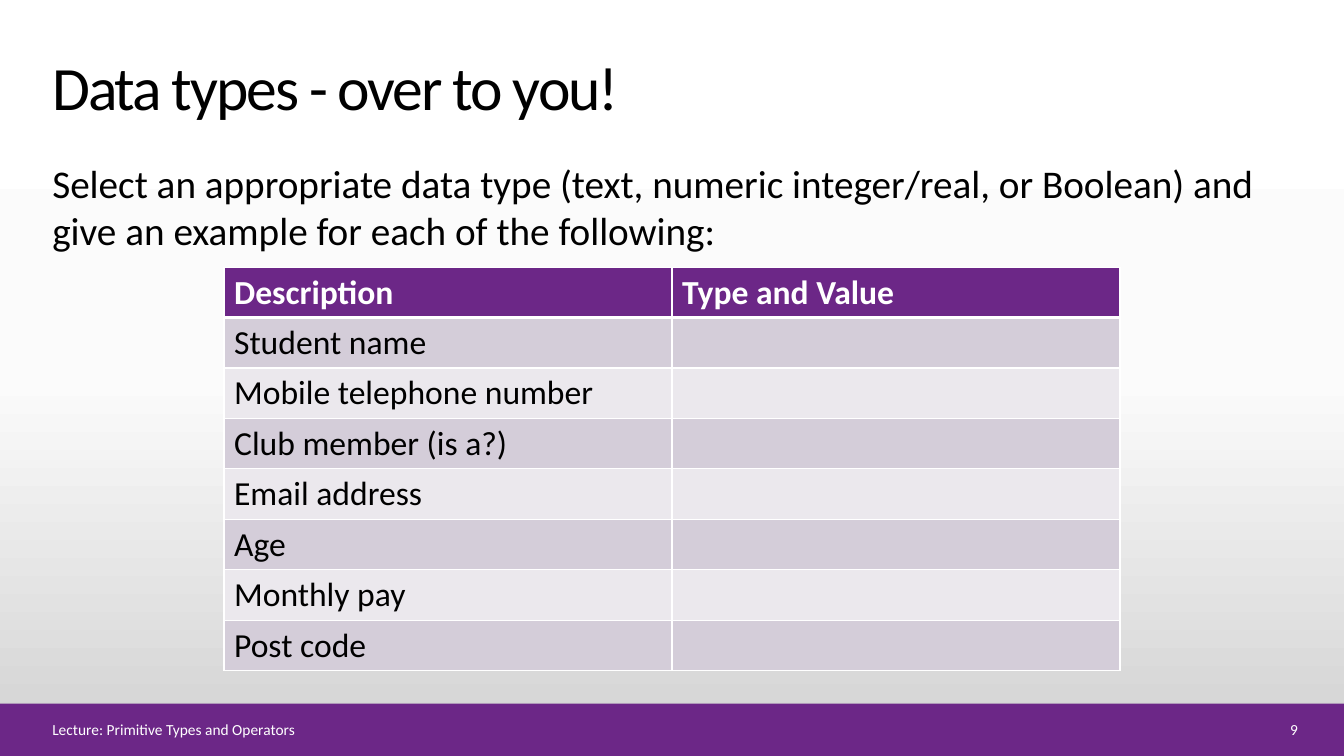
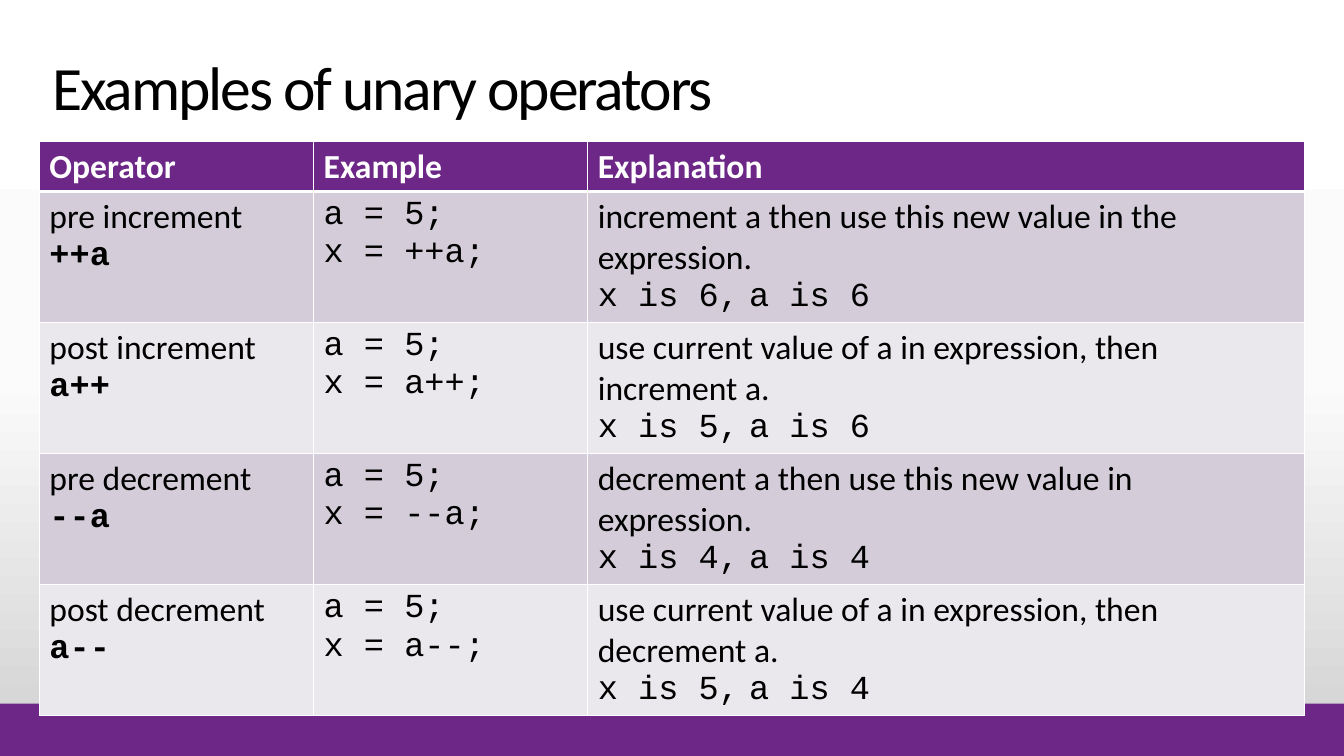
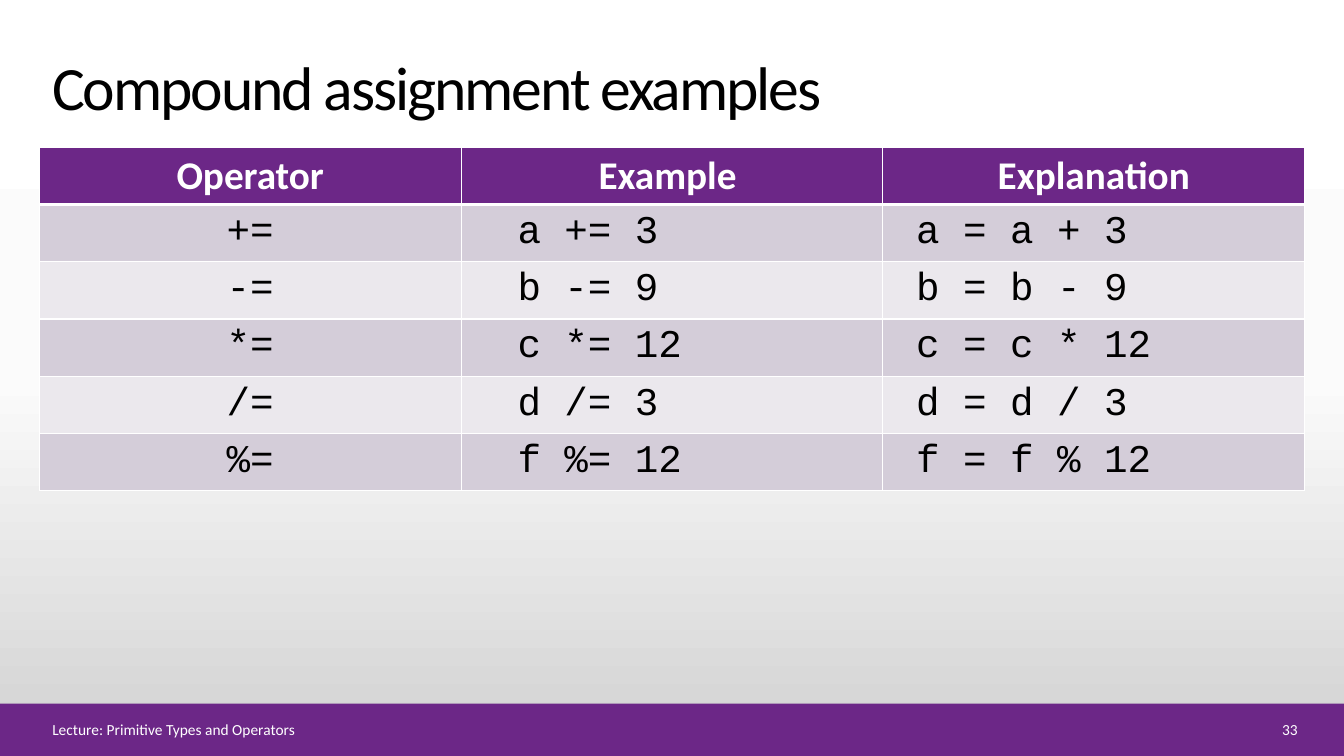
from collections import namedtuple
from copy import deepcopy

from lxml import etree
from pptx import Presentation
from pptx.dml.color import RGBColor
from pptx.enum.shapes import MSO_SHAPE
from pptx.enum.text import MSO_ANCHOR, PP_ALIGN
from pptx.oxml.ns import qn
from pptx.util import Inches, Pt

RECTANGLE = MSO_SHAPE.RECTANGLE
TOP, MIDDLE, BOTTOM = MSO_ANCHOR.TOP, MSO_ANCHOR.MIDDLE, MSO_ANCHOR.BOTTOM
LEFT, CENTER, RIGHT = PP_ALIGN.LEFT, PP_ALIGN.CENTER, PP_ALIGN.RIGHT

PURPLE = RGBColor(0x6C, 0x27, 0x87)
DARK_ROW = RGBColor(0xD4, 0xCD, 0xD9)
LIGHT_ROW = RGBColor(0xEB, 0xE8, 0xED)
BLACK = RGBColor(0, 0, 0)
WHITE = RGBColor(0xFF, 0xFF, 0xFF)
NEAR_WHITE = RGBColor(0xFB, 0xFB, 0xFB)
GREY = RGBColor(0xD1, 0xD1, 0xD1)
BACKGROUND_STOPS = [(0, WHITE), (0.5, NEAR_WHITE), (1, GREY)]

BODY_FONT, CODE_FONT = "Calibri", "Courier New"
SLIDE_WIDTH, SLIDE_HEIGHT = 13.33, 7.5
MARGIN = 0.42
CONTENT_WIDTH = 12.55
BAND_TOP = 6.98
FOOTER_TOP, FOOTER_HEIGHT = 7.12, 0.23
NUMBER_WIDTH = 0.75
TABLE_LEFT = (SLIDE_WIDTH - CONTENT_WIDTH) / 2
CELL_INSET = 0.1
CODE_INDENT = 0.23
FOOTER = "Lecture: Primitive Types and Operators"

Style = namedtuple("Style", "size color font bold align spacing",
                   defaults=(BLACK, BODY_FONT, False, LEFT, 0))
Cell = namedtuple("Cell", "lines indent", defaults=(0,))

TITLE = Style(44, spacing=-150)
BODY = Style(28)
FOOTNOTE = Style(11, WHITE)
HEADING = Style(24, WHITE, bold=True)
ENTRY = Style(24)
CODE = Style(24, font=CODE_FONT)
OPERATOR = CODE._replace(bold=True)
LARGE_HEADING = HEADING._replace(size=28, align=CENTER)
LARGE_CODE = CODE._replace(size=28)
CENTERED_CODE = LARGE_CODE._replace(align=CENTER)

DESCRIPTIONS = ["Student name", "Mobile telephone number", "Club member (is a?)",
                "Email address", "Age", "Monthly pay", "Post code"]
UNARY = [
    ("pre increment", "++a",
     "increment a then use this new value in the expression.", 6, 6),
    ("post increment", "a++",
     "use current value of a in expression, then increment a.", 5, 6),
    ("pre decrement", "--a",
     "decrement a then use this new value in expression.", 4, 4),
    ("post decrement", "a--",
     "use current value of a in expression, then decrement a.", 5, 4),
]
COMPOUND = [("a", "+", 3), ("b", "-", 9), ("c", "*", 12), ("d", "/", 3), ("f", "%", 12)]


def write_run(paragraph, text, style):
    paragraph.alignment = style.align
    run = paragraph.add_run()
    run.text = text
    font = run.font
    font.name, font.size, font.bold = style.font, Pt(style.size), style.bold
    font.color.rgb = style.color
    if style.spacing:
        run._r.get_or_add_rPr().set("spc", str(style.spacing))


def add_text(slide, text, style, left, top, width, height, anchor=TOP):
    box = slide.shapes.add_textbox(Inches(left), Inches(top), Inches(width), Inches(height))
    frame = box.text_frame
    frame.word_wrap = True
    frame.vertical_anchor = anchor
    write_run(frame.paragraphs[0], text, style)


def set_background(master):
    fill = master.background.fill
    fill.gradient()
    fill.gradient_angle = 270
    stop_list = master.element.find(".//" + qn("p:bg")).find(".//" + qn("a:gsLst"))
    stop_list.insert(1, deepcopy(stop_list[0]))
    for stop, (position, color) in zip(fill.gradient_stops, BACKGROUND_STOPS):
        stop.position = position
        stop.color.rgb = color


def add_slide(presentation, title):
    slide = presentation.slides.add_slide(presentation.slide_layouts[6])
    band = slide.shapes.add_shape(RECTANGLE, 0, Inches(BAND_TOP), Inches(SLIDE_WIDTH),
                                  Inches(SLIDE_HEIGHT - BAND_TOP))
    band.shadow.inherit = False
    band.fill.solid()
    band.fill.fore_color.rgb = PURPLE
    band.line.fill.background()
    add_text(slide, title, TITLE, MARGIN, 0.4, 10.4, 0.87, BOTTOM)
    return slide


def add_footer(slide, number):
    add_text(slide, FOOTER, FOOTNOTE, MARGIN, FOOTER_TOP, 11.65, FOOTER_HEIGHT, MIDDLE)
    add_text(slide, str(number), FOOTNOTE._replace(align=RIGHT),
             MARGIN + CONTENT_WIDTH - NUMBER_WIDTH, FOOTER_TOP,
             NUMBER_WIDTH, FOOTER_HEIGHT, MIDDLE)


def set_borders(cell, top, bottom):
    properties = cell._tc.get_or_add_tcPr()
    edges = [("a:lnL", 1), ("a:lnR", 1), ("a:lnT", top), ("a:lnB", bottom)]
    for index, (tag, width) in enumerate(edges):
        line = etree.Element(qn(tag), w=str(Pt(width)))
        fill = etree.SubElement(line, qn("a:solidFill"))
        etree.SubElement(fill, qn("a:srgbClr"), val=str(WHITE))
        properties.insert(index, line)


def fill_cell(cell, content, row, anchor):
    cell.vertical_anchor = anchor
    cell.margin_left = Inches(CELL_INSET + content.indent)
    cell.fill.solid()
    cell.fill.fore_color.rgb = PURPLE if row == 0 else DARK_ROW if row % 2 else LIGHT_ROW
    set_borders(cell, 3 if row == 1 else 1, 3 if row == 0 else 1)
    frame = cell.text_frame
    for index, (text, style) in enumerate(content.lines):
        paragraph = frame.add_paragraph() if index else frame.paragraphs[0]
        write_run(paragraph, text, style)


def add_grid(slide, rows, left, top, widths, heights, anchor=MIDDLE):
    table = slide.shapes.add_table(len(rows), len(widths), Inches(left), Inches(top),
                                   Inches(sum(widths)), Inches(sum(heights))).table
    for column, width in zip(table.columns, widths):
        column.width = Inches(width)
    for row, height in zip(table.rows, heights):
        row.height = Inches(height)
    for row_index, contents in enumerate(rows):
        for column_index, content in enumerate(contents):
            fill_cell(table.cell(row_index, column_index), content, row_index, anchor)


def heading_row(labels, style):
    return [Cell([(label, style)]) for label in labels]


def add_data_types(presentation):
    slide = add_slide(presentation, "Data types - over to you!")
    add_text(slide, "Select an appropriate data type (text, numeric integer/real, or Boolean) "
             "and give an example for each of the following:",
             BODY, MARGIN, 1.53, CONTENT_WIDTH, 1.1)
    rows = [heading_row(["Description", "Type and Value"], HEADING)]
    rows += [[Cell([(text, ENTRY)]), Cell([])] for text in DESCRIPTIONS]
    width = SLIDE_WIDTH / 3
    add_grid(slide, rows, SLIDE_WIDTH / 6, 2.65, [width] * 2, [0.5] * len(rows))
    add_footer(slide, 9)


def add_unary_operators(presentation):
    slide = add_slide(presentation, "Examples of unary operators")
    rows = [heading_row(["Operator", "Example", "Explanation"], HEADING)]
    for name, expression, meaning, x, a in UNARY:
        rows.append([
            Cell([(name, ENTRY), (expression, OPERATOR)]),
            Cell([("a = 5;", CODE), (f"x = {expression};", CODE)]),
            Cell([(meaning, ENTRY), (f"x is {x},\ta is {a}", CODE)]),
        ])
    add_grid(slide, rows, TABLE_LEFT, 1.4, [2.72, 2.72, 7.11],
             [0.5] + [1.29] * len(UNARY), TOP)


def add_compound_assignment(presentation):
    slide = add_slide(presentation, "Compound assignment examples")
    rows = [heading_row(["Operator", "Example ", "Explanation"], LARGE_HEADING)]
    for name, sign, value in COMPOUND:
        rows.append([
            Cell([(f"{sign}=", CENTERED_CODE)]),
            Cell([(f"{name} {sign}= {value}", LARGE_CODE)], 2 * CODE_INDENT),
            Cell([(f"{name} = {name} {sign} {value}", LARGE_CODE)], CODE_INDENT),
        ])
    add_grid(slide, rows, TABLE_LEFT, 1.46, [CONTENT_WIDTH / 3] * 3,
             [0.57] + [0.54] * len(COMPOUND))
    add_footer(slide, 33)


def main():
    presentation = Presentation()
    presentation.slide_width = Inches(SLIDE_WIDTH)
    presentation.slide_height = Inches(SLIDE_HEIGHT)
    set_background(presentation.slide_master)
    add_data_types(presentation)
    add_unary_operators(presentation)
    add_compound_assignment(presentation)
    presentation.save("out.pptx")


if __name__ == "__main__":
    main()
